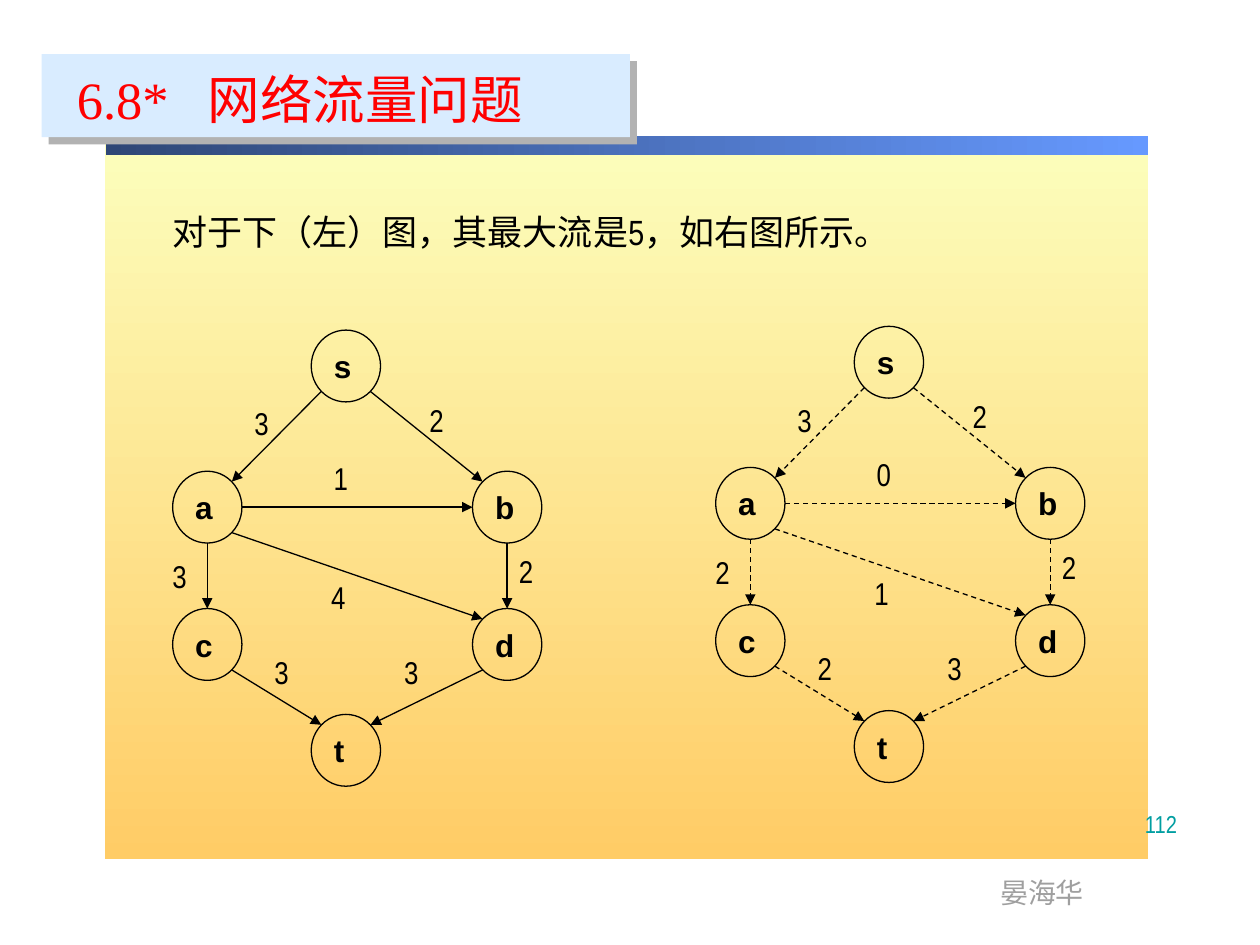
from lxml import etree
from pptx import Presentation
from pptx import util as u
from pptx.dml import color
from pptx.enum import dml, shapes, text
from pptx.oxml import ns

COLORS = {
    "black": "000000", "red": "FF0000", "gray": "9F9F9F", "teal": "009EA1",
    "title": "D9ECFF", "shadow": "B2B2B2", "cream": "FCFEBC",
    "orange": "FFCC66", "navy": "2F4776", "blue": "6699FF",
}
TITLE = "6.8*\t网络流量问题"
STATEMENT = "对于下（左）图，其最大流是5，如右图所示。"
AUTHOR = "晏海华"
PAGE = "112"

NODE_WIDTH, NODE_HEIGHT = 0.55, 0.57
COLUMNS = (0, 1.1, 2.38)
ROWS = (0, 1.12, 2.21, 3.05)
NODES = {"s": (1, 0), "t": (1, 3), "d": (2, 2), "a": (0, 1), "c": (0, 2), "b": (2, 1)}
DIAGONAL = 0.71
SIDES = {
    "left": (-1, 0), "right": (1, 0), "top": (0, -1), "bottom": (0, 1),
    "top left": (-DIAGONAL, -DIAGONAL), "top right": (DIAGONAL, -DIAGONAL),
    "bottom left": (-DIAGONAL, DIAGONAL), "bottom right": (DIAGONAL, DIAGONAL),
}
EDGES = [
    ("s", "bottom left", "a", "top right", (0.55, 0.54)),
    ("s", "bottom right", "b", "top left", (1.94, 0.51)),
    ("a", "right", "b", "left", (1.18, 0.97)),
    ("a", "bottom", "c", "top", (-0.1, 1.75)),
    ("b", "bottom", "d", "top", (2.65, 1.71)),
    ("a", "bottom right", "d", "top left", (1.16, 1.92)),
    ("d", "bottom left", "t", "top right", (1.74, 2.51)),
    ("c", "bottom right", "t", "top left", (0.71, 2.51)),
]
GRAPHS = [
    {"origin": (1.37, 2.62), "flows": "32132433", "dash": None},
    {"origin": (5.68, 2.59), "flows": "32022132", "dash": dml.MSO_LINE.DASH},
]
GRAPHS[0]["flows"] = "32132433"
GRAPHS[1]["flows"] = "32022132"


def rgb(name):
    return color.RGBColor.from_string(COLORS[name])


def inches(*values):
    return [u.Inches(value) for value in values]


def add_child(parent, tag, **attributes):
    child = etree.SubElement(parent, ns.qn(tag))
    for key, value in attributes.items():
        child.set(key, value)
    return child


def write(shape, content, size, font, tint, bold=False):
    shape.text_frame.text = content
    paragraph = shape.text_frame.paragraphs[0]
    paragraph.alignment = text.PP_ALIGN.LEFT
    for run in paragraph.runs:
        run.font.size = u.Pt(size)
        run.font.name = font
        run.font.bold = bold
        run.font.color.rgb = rgb(tint)
    return paragraph


def add_text(parent, box, content, size, font="Arial Narrow", tint="black", wrap=True):
    shape = parent.add_textbox(*inches(*box))
    shape.text_frame.word_wrap = wrap
    return shape, write(shape, content, size, font, tint)


def add_band(parent, box, start, end, angle):
    shape = parent.add_shape(shapes.MSO_SHAPE.RECTANGLE, *inches(*box))
    shape.shadow.inherit = False
    shape.line.fill.background()
    shape.fill.gradient()
    shape.fill.gradient_angle = angle
    for stop, name, position in zip(shape.fill.gradient_stops, (start, end), (0, 1)):
        stop.color.rgb = rgb(name)
        stop.position = position


def add_title(parent):
    plate = parent.add_shape(shapes.MSO_SHAPE.RECTANGLE, *inches(0.33, 0.43, 4.67, 0.66))
    plate.shadow.inherit = False
    plate.fill.solid()
    plate.fill.fore_color.rgb = rgb("title")
    plate.line.fill.background()
    effects = plate.element.spPr.find(ns.qn("a:effectLst"))
    shadow = add_child(effects, "a:outerShdw", dist=str(u.Pt(5.7)), dir="2700000", algn="ctr", rotWithShape="0")
    add_child(shadow, "a:srgbClr", val=COLORS["shadow"])

    shape, paragraph = add_text(parent, (0.3, 0.48, 4.94, 0.61), TITLE, 30, "Times New Roman", "red")
    shape.text_frame.margin_left = u.Inches(0.31)
    tabs = add_child(paragraph._p.get_or_add_pPr(), "a:tabLst")
    add_child(tabs, "a:tab", pos=str(u.Inches(1.04)), algn="l")


def add_graph(parent, origin, flows, dash):
    group = parent.add_group_shape().shapes
    left, top = origin

    def corner(node):
        column, row = NODES[node]
        return left + COLUMNS[column], top + ROWS[row]

    def anchor(node, side):
        x, y = corner(node)
        across, down = SIDES[side]
        return x + NODE_WIDTH / 2 * (1 + across), y + NODE_HEIGHT / 2 * (1 + down)

    for node in NODES:
        circle = group.add_shape(shapes.MSO_SHAPE.OVAL, *inches(*corner(node), NODE_WIDTH, NODE_HEIGHT))
        circle.shadow.inherit = False
        circle.fill.background()
        circle.line.color.rgb = rgb("black")
        circle.line.width = u.Pt(0.75)
        write(circle, node, 18, "Arial", "black", bold=True)

    for (source, leaving, target, entering, label), flow in zip(EDGES, flows):
        arrow = group.add_connector(
            shapes.MSO_CONNECTOR.STRAIGHT,
            *inches(*anchor(source, leaving), *anchor(target, entering)))
        arrow.line.color.rgb = rgb("black")
        arrow.line.width = u.Pt(0.75)
        if dash:
            arrow.line.dash_style = dash
        add_child(arrow.line._get_or_add_ln(), "a:tailEnd", type="triangle")
        add_child(arrow._element.spPr, "a:effectLst")
        add_text(group, (left + label[0], top + label[1], 0.32, 0.4), flow, 18)


def main():
    presentation = Presentation()
    presentation.slide_width, presentation.slide_height = inches(10, 7.5)
    slide = presentation.slides.add_slide(presentation.slide_layouts[6])
    canvas = slide.shapes

    add_band(canvas, (0.83, 1.1, 8.28, 5.72), "cream", "orange", 270)
    add_band(canvas, (0.84, 1.08, 8.27, 0.15), "navy", "blue", 0)
    add_text(canvas, (7.84, 6.9, 0.87, 0.37), AUTHOR, 16, tint="gray", wrap=False)
    number, paragraph = add_text(canvas, (7.36, 6.2, 2.08, 0.5), PAGE, 14, tint="teal")
    number.text_frame.vertical_anchor = text.MSO_ANCHOR.BOTTOM
    paragraph.alignment = text.PP_ALIGN.RIGHT
    add_title(canvas)
    for graph in GRAPHS:
        add_graph(canvas, **graph)
    add_text(canvas, (1.27, 1.62, 5.94, 0.44), STATEMENT, 20, wrap=False)
    presentation.save("out.pptx")


if __name__ == "__main__":
    main()
